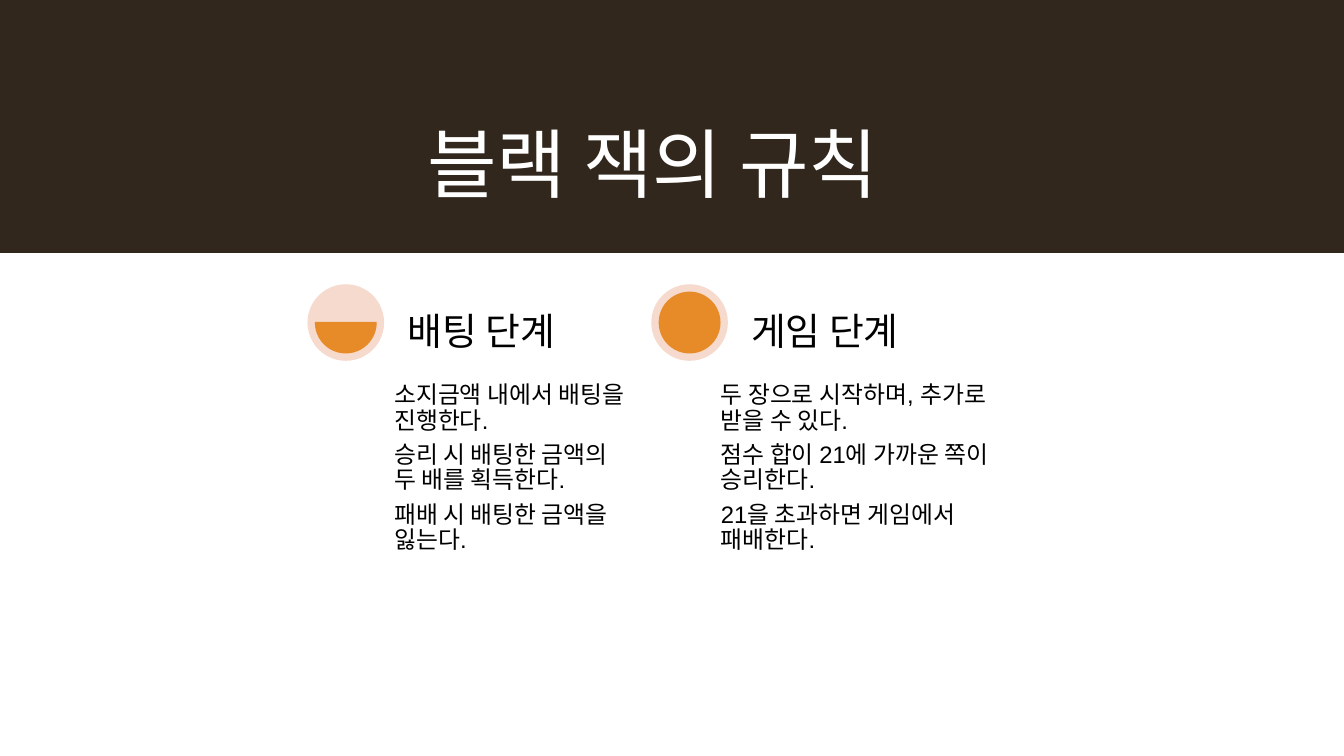
"""Build the slide with the two stages of blackjack."""
from dataclasses import dataclass

from pptx import Presentation
from pptx.dml.color import RGBColor
from pptx.enum.shapes import MSO_SHAPE as Shape
from pptx.enum.text import MSO_ANCHOR as Anchor, PP_ALIGN as Align
from pptx.util import Inches, Pt


@dataclass(frozen=True)
class Theme:
    banner: RGBColor = RGBColor(0x31, 0x27, 0x1C)
    disc: RGBColor = RGBColor(0xF6, 0xDA, 0xCD)
    accent: RGBColor = RGBColor(0xE7, 0x8B, 0x29)
    light: RGBColor = RGBColor(0xFF, 0xFF, 0xFF)
    dark: RGBColor = RGBColor(0, 0, 0)
    title_font: str = "Calibri"
    body_font: str = "Arial"
    title_size: int = 54
    heading_size: int = 27
    body_size: int = 17
    line_spacing: float = 0.9
    gap_ratio: float = 0.35


@dataclass(frozen=True)
class Box:
    left: float
    top: float
    width: float
    height: float

    def emu(self) -> tuple:
        return tuple(Inches(v) for v in (self.left, self.top, self.width, self.height))


@dataclass(frozen=True)
class Stage:
    left: float
    chord: tuple[float, float]
    heading: str
    body_left: float
    body_width: float
    rules: tuple[str, ...]


THEME = Theme()
TOP, DISC, INSET, FILLED = 2.82, 0.76, 0.08, 0.6
STAGES = (
    Stage(3.05, (0, 108), "배팅 단계", 3.86, 2.44, (
        "소지금액 내에서 배팅을 진행한다.",
        "승리 시 배팅한 금액의 두 배를 획득한다.",
        "패배 시 배팅한 금액을 잃는다.",
    )),
    Stage(6.46, (162, 162), "게임 단계", 7.1, 2.8, (
        "두 장으로 시작하며, 추가로 받을 수 있다.",
        "점수 합이 21에 가까운 쪽이 승리한다.",
        "21을 초과하면 게임에서 패배한다.",
    )),
)


def apply(target, values: dict) -> None:
    for name, value in values.items():
        setattr(target, name, value)


def add_shape(s, kind: Shape, box: Box, color: RGBColor, outlined: bool = False):
    sp = s.shapes.add_shape(kind, *box.emu())
    sp.shadow.inherit = False
    sp.fill.solid()
    sp.fill.fore_color.rgb = color
    if outlined:
        sp.line.color.rgb = color
        sp.line.width = Pt(1)
    else:
        sp.line.fill.background()
    return sp


def add_text(s, box: Box, lines: tuple[str, ...], size: int, font: str,
             color: RGBColor, frame: dict, para: dict) -> None:
    tf = s.shapes.add_textbox(*box.emu()).text_frame
    apply(tf, {"word_wrap": True, **frame})
    for i, line in enumerate(lines):
        p = tf.add_paragraph() if i else tf.paragraphs[0]
        apply(p, para)
        r = p.add_run()
        r.text = line
        apply(r.font, {"size": Pt(size), "name": font})
        r.font.color.rgb = color


def margins(value: float) -> dict:
    return {f"margin_{side}": Inches(value) for side in ("left", "top", "right", "bottom")}


def add_stage(s, stage: Stage) -> None:
    add_shape(s, Shape.OVAL, Box(stage.left, TOP, DISC, DISC), THEME.disc)
    sp = add_shape(s, Shape.CHORD, Box(stage.left + INSET, TOP + INSET, FILLED, FILLED),
                   THEME.accent, outlined=True)
    for i, angle in enumerate(stage.chord):
        sp.adjustments[i] = angle
    blocks = (
        (Box(stage.body_left, 3.75, stage.body_width, 2.83), stage.rules,
         THEME.body_size, margins(0.05)),
        (Box(stage.left + 0.92, TOP, 2.24, DISC), (stage.heading,),
         THEME.heading_size, {"vertical_anchor": Anchor.BOTTOM, **margins(0.07)}),
    )
    for box, lines, size, frame in blocks:
        para = {"line_spacing": THEME.line_spacing, "space_after": Pt(size * THEME.gap_ratio)}
        add_text(s, box, lines, size, THEME.body_font, THEME.dark, frame, para)


def main() -> None:
    prs = Presentation()
    apply(prs, {"slide_width": Inches(13.33), "slide_height": Inches(7.5)})
    s = prs.slides.add_slide(prs.slide_layouts[6])
    add_shape(s, Shape.RECTANGLE, Box(0, 0, 13.33, 2.51), THEME.banner)
    add_text(s, Box(0.53, 0.4, 11.89, 1.72), ("블랙 잭의 규칙",), THEME.title_size,
             THEME.title_font, THEME.light, {"vertical_anchor": Anchor.BOTTOM},
             {"alignment": Align.CENTER, "line_spacing": THEME.line_spacing})
    for stage in STAGES:
        add_stage(s, stage)
    prs.save("out.pptx")


if __name__ == "__main__":
    main()
